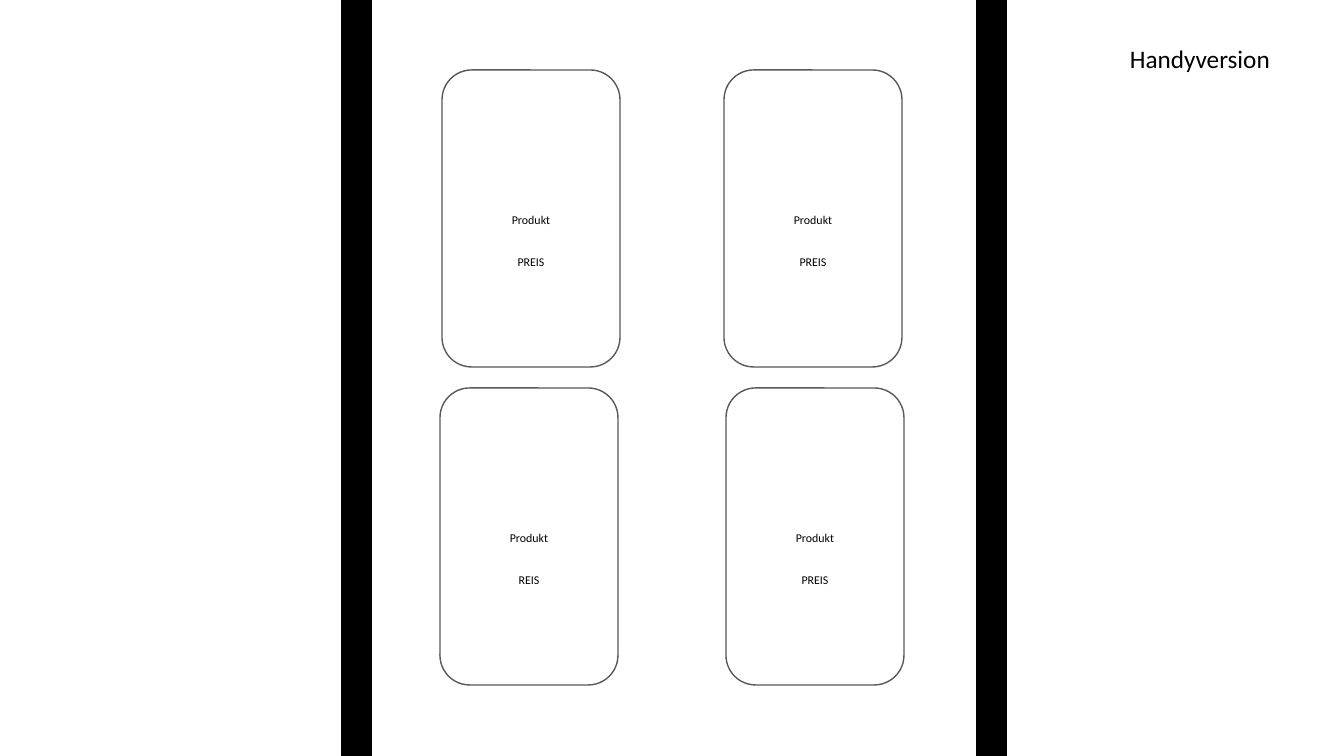
from dataclasses import dataclass

from pptx import Presentation
from pptx.dml.color import RGBColor
from pptx.enum.shapes import MSO_SHAPE
from pptx.enum.text import MSO_AUTO_SIZE, PP_ALIGN
from pptx.util import Emu, Pt

RECTANGLE = MSO_SHAPE.RECTANGLE
ROUNDED = MSO_SHAPE.ROUNDED_RECTANGLE
GROW = MSO_AUTO_SIZE.SHAPE_TO_FIT_TEXT
LEFT, CENTER = PP_ALIGN.LEFT, PP_ALIGN.CENTER
EMU_PER_PX = 914400 / 100.8
SLIDE_WIDTH, SLIDE_HEIGHT = 1344, 756


@dataclass(frozen=True)
class Theme:
    font: str = "Calibri"
    ink: RGBColor = RGBColor(0, 0, 0)
    outline: RGBColor = RGBColor(0x59, 0x59, 0x59)
    title_size: float = 18
    label_size: float = 8.5
    line_width: float = 1


THEME = Theme()


def px(length):
    return Emu(round(length * EMU_PER_PX))


def add_text(shapes, text, box, *, size, align=LEFT):
    label = shapes.add_textbox(*map(px, box))
    frame = label.text_frame
    frame.word_wrap = True
    frame.auto_size = GROW
    paragraph = frame.paragraphs[0]
    paragraph.alignment = align
    run = paragraph.add_run()
    run.text = text
    run.font.name = THEME.font
    run.font.size = Pt(size)
    run.font.color.rgb = THEME.ink


def add_outline(shapes, preset, box, *, line, fill=None):
    outline = shapes.add_shape(preset, *map(px, box))
    outline.shadow.inherit = False
    if fill is None:
        outline.fill.background()
    else:
        outline.fill.solid()
        outline.fill.fore_color.rgb = fill
    outline.line.color.rgb = line
    outline.line.width = Pt(THEME.line_width)


def add_product_card(slide, box, product, price):
    left, top, width, height = box
    card = slide.shapes.add_group_shape().shapes
    add_outline(card, ROUNDED, box, line=THEME.outline)
    label_width, label_height = 116, 24
    label_left = left + (width - label_width) / 2
    for text, offset in ((product, 138), (price, 180)):
        label_box = (label_left, top + offset, label_width, label_height)
        add_text(card, text, label_box, size=THEME.label_size, align=CENTER)


def add_phone_frame(slide, box, bar_width):
    left, top, width, height = box
    for bar_left in (left + width - bar_width, left):
        add_outline(slide.shapes, RECTANGLE, (bar_left, top, bar_width, height),
                    line=THEME.ink, fill=THEME.ink)


def main():
    presentation = Presentation()
    presentation.slide_width = px(SLIDE_WIDTH)
    presentation.slide_height = px(SLIDE_HEIGHT)
    slide = presentation.slides.add_slide(presentation.slide_layouts[6])

    card_width, card_height = 178, 297
    products = (
        (442, 70, "PREIS"),
        (724, 70, "PREIS"),
        (440, 388, "REIS"),
        (726, 388, "PREIS"),
    )
    for left, top, price in products:
        add_product_card(slide, (left, top, card_width, card_height), "Produkt", price)
    add_phone_frame(slide, (342, 0, 664, SLIDE_HEIGHT), 29)
    add_text(slide.shapes, "Handyversion", (1120, 38, 198, 40), size=THEME.title_size)

    presentation.save("out.pptx")


if __name__ == "__main__":
    main()
